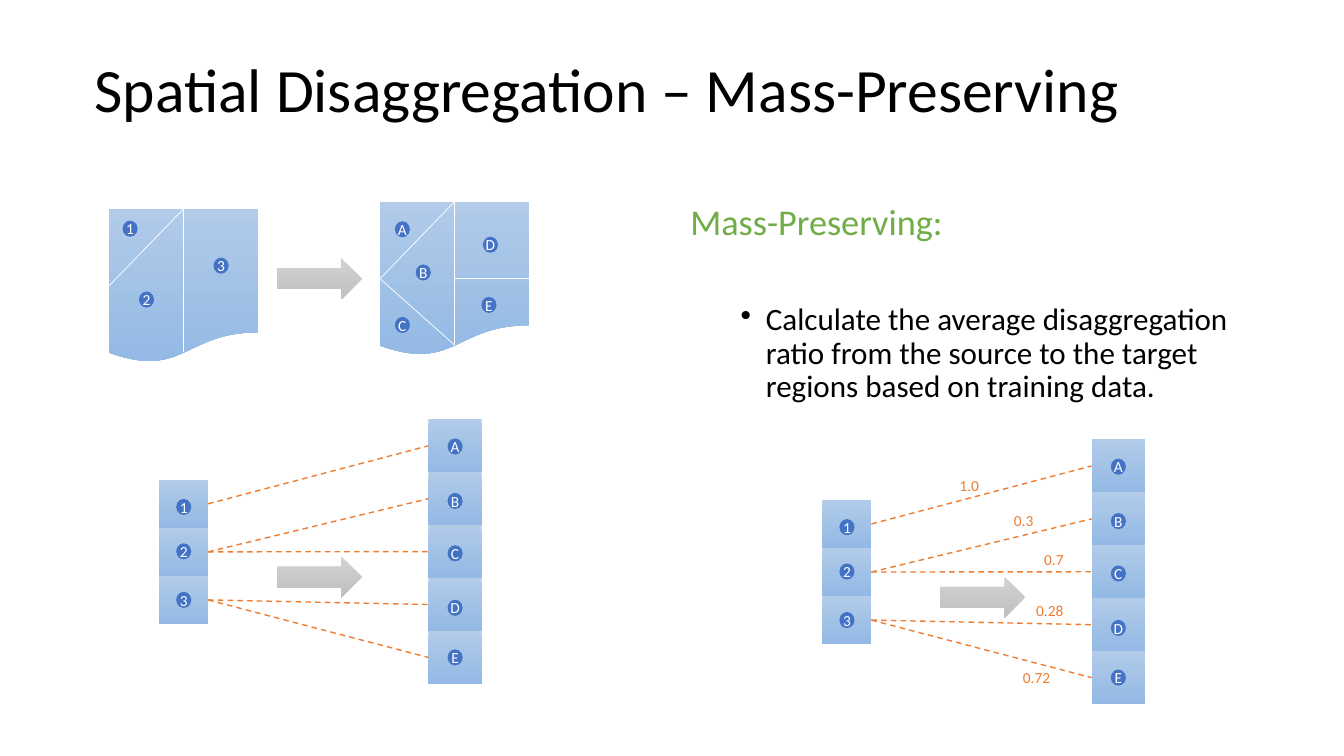
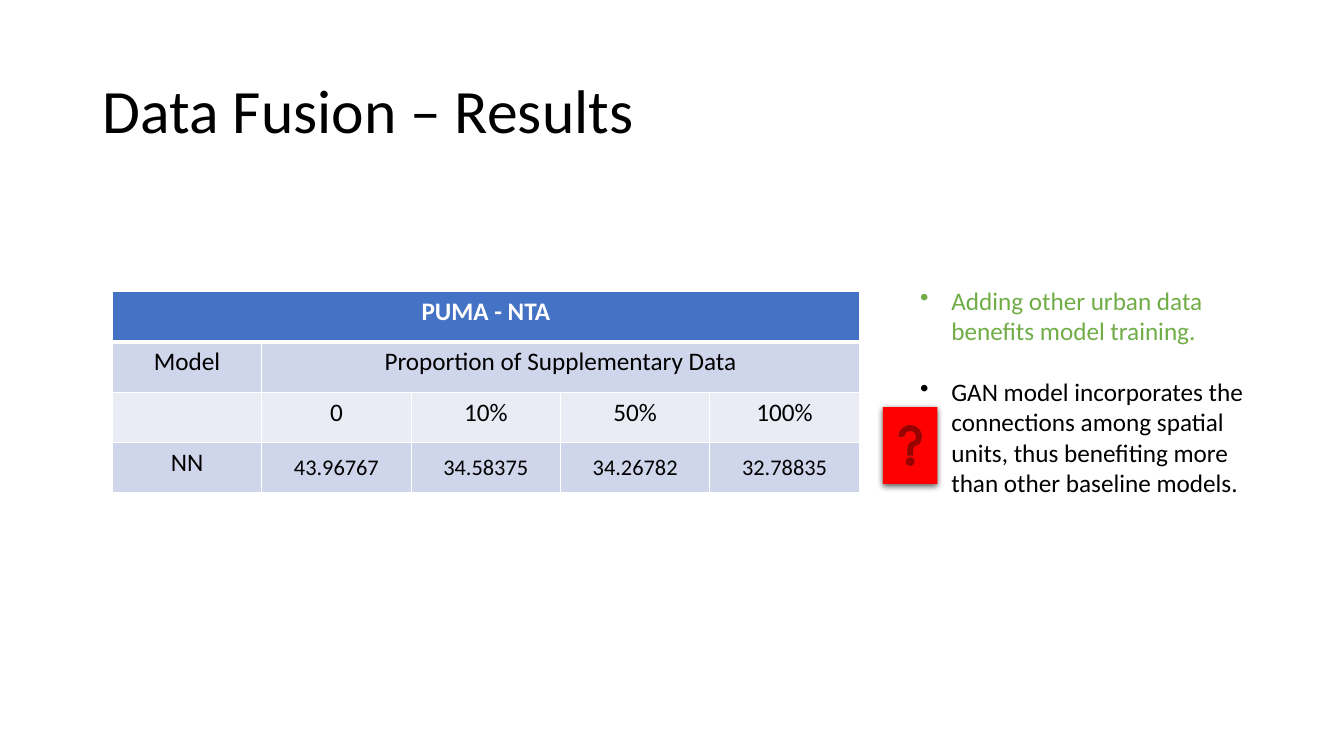
"""Build two slides on spatial disaggregation and data fusion."""
from dataclasses import dataclass
from typing import NamedTuple

from lxml import etree
from pptx import Presentation
from pptx import util as u
from pptx.dml.color import RGBColor
from pptx.enum import dml, shapes, text
from pptx.oxml.ns import qn

SLIDE_WIDTH, SLIDE_HEIGHT = u.Inches(13.333), u.Inches(7.5)
COLUMN, ROW = SLIDE_WIDTH / 160, SLIDE_HEIGHT / 90
FONT = "Calibri"
COLORS = {
    "ink": "000000", "paper": "FFFFFF", "accent": "70AD47", "badge": "4472C4",
    "link": "ED7D31", "alert": "FF0000", "band": "CFD5EA", "pale": "E9EBF5",
    "region_top": "B1CBE9", "region_end": "93B9E4",
    "arrow_top": "D2D2D2", "arrow_end": "C0C0C0",
}


class Area(NamedTuple):
    """A box in grid columns and rows."""
    left: float
    top: float
    width: float
    height: float

    def emu(self) -> list[int]:
        """Return the box in slide units."""
        return [round(n * unit) for n, unit in zip(self, (COLUMN, ROW) * 2)]

    def point(self, across: float, down: float) -> tuple[float, float]:
        """Return the grid point at the given shares of the box."""
        return self.left + across * self.width, self.top + down * self.height


class Span(NamedTuple):
    """One paragraph with its style."""
    words: str
    size: float
    color: str = "ink"
    before: float = 0
    spacing: float = 1.0
    margin: float = 0
    hanging: float = 0
    align: text.PP_ALIGN = text.PP_ALIGN.LEFT
    bold: bool = False


class Badge(NamedTuple):
    """A region name at shares of its map."""
    name: str
    across: float
    down: float


class Label(NamedTuple):
    """A ratio placed from the corner of its graph."""
    words: str
    left: float
    top: float
    width: float


@dataclass(frozen=True)
class RegionMap:
    """A map with its dividing lines and badges, in shares of its area."""
    area: Area
    lines: tuple[tuple[float, float, float, float], ...]
    badges: tuple[Badge, ...]


@dataclass(frozen=True)
class Stack:
    """A column of region cells, placed from the corner of its graph."""
    names: str
    first: Area
    nudges: tuple[float, ...]

    def cell(self, index: int, left: float, top: float) -> Area:
        """Return the area of one cell."""
        return self.first._replace(left=left + self.first.left,
                                   top=top + self.first.top + index * self.first.height)


MAPS = (
    RegionMap(Area(13, 24.84, 17.76, 18.36),
              ((0, .5, .5, 0), (.5, .93, .5, 0)),
              (Badge("1", .14, .13), Badge("2", .25, .59), Badge("3", .75, .37))),
    RegionMap(Area(45.24, 24, 17.76, 18.36),
              ((0, .5, .5, 0), (.5, .93, .5, 0), (.5, .5, 1, .5), (0, .5, .5, .93)),
              (Badge("A", .15, .18), Badge("B", .29, .46), Badge("C", .15, .8),
               Badge("D", .74, .28), Badge("E", .73, .67))),
)
SOURCES = Stack("123", Area(0, 7.2, 5.82, 5.72), (.38, -.06, 0))
TARGETS = Stack("ABCDE", Area(32.04, 0, 6.36, 6.3), (.09, .27, .21, .39, 0))
LINKS = ("1A", "2B", "2C", "3D", "3E")
RATIOS = (
    Label("1.0", 15.12, 3.72, 4.92), Label("0.3", 21.6, 7.92, 4.92),
    Label("0.7", 25.2, 12.6, 4.92), Label("0.28", 24.24, 18.6, 5.88),
    Label("0.72", 22.68, 26.64, 6.36),
)
RESULTS = (
    ("PUMA - NTA", "", "", "", ""),
    ("Model", "Proportion of Supplementary Data", "", "", ""),
    ("", "0", "10%", "50%", "100%"),
    ("NN", "43.96767", "34.58375", "34.26782", "32.78835"),
)
ROW_FILLS = ("badge", "band", "pale", "band")


def rgb(name: str) -> RGBColor:
    """Return a named color."""
    return RGBColor.from_string(COLORS[name])


def write(frame, spans: tuple[Span, ...]) -> None:
    """Fill a text frame with styled paragraphs."""
    frame.text = "\n".join(span.words for span in spans)
    for para, span in zip(frame.paragraphs, spans):
        if span.hanging:
            props = para._p.get_or_add_pPr()
            props.set("marL", str(u.Inches(span.margin)))
            props.set("indent", str(-u.Inches(span.hanging)))
            etree.SubElement(props, qn("a:buChar")).set("char", "•")
        para.alignment = span.align
        para.line_spacing = span.spacing
        para.space_before = u.Pt(span.before)
        for run in para.runs:
            run.font.name, run.font.size = FONT, u.Pt(span.size)
            run.font.bold = span.bold
            run.font.color.rgb = rgb(span.color)


def add_text(page, area: Area, *spans: Span, wrap: bool = True,
             anchor=text.MSO_ANCHOR.TOP) -> None:
    """Add a text box."""
    frame = page.shapes.add_textbox(*area.emu()).text_frame
    frame.word_wrap, frame.vertical_anchor = wrap, anchor
    write(frame, spans)


def add_title(page, left: float, top: float, words: str) -> None:
    """Add the slide title."""
    add_text(page, Area(left, top, 138, 17.4), Span(words, 44, spacing=.9),
             anchor=text.MSO_ANCHOR.MIDDLE)


def add_block(page, kind, area: Area, color: str):
    """Add an unlined shape with a solid fill."""
    box = page.shapes.add_shape(kind, *area.emu())
    box.shadow.inherit = False
    box.line.fill.background()
    box.fill.solid()
    box.fill.fore_color.rgb = rgb(color)
    return box


def add_shaded(page, kind, area: Area, family: str) -> None:
    """Add a shape shaded from top to bottom."""
    fill = add_block(page, kind, area, f"{family}_top").fill
    fill.gradient()
    fill.gradient_angle = 270
    for stop, place, end in zip(fill.gradient_stops, (0, 1), ("top", "end")):
        stop.position = place
        stop.color.rgb = rgb(f"{family}_{end}")


def add_arrow(page, left: float, top: float) -> None:
    """Add a grey block arrow."""
    add_shaded(page, shapes.MSO_SHAPE.RIGHT_ARROW, Area(left, top, 10.08, 4.92), "arrow")


def add_badge(page, name: str, center: tuple[float, float]) -> None:
    """Add a round badge around a center point."""
    width, height = 1.8, 1.92
    area = Area(center[0] - width / 2, center[1] - height / 2, width, height)
    frame = add_block(page, shapes.MSO_SHAPE.OVAL, area, "badge").text_frame
    frame.margin_left = frame.margin_right = frame.margin_top = frame.margin_bottom = 0
    frame.word_wrap, frame.vertical_anchor = False, text.MSO_ANCHOR.MIDDLE
    write(frame, (Span(name, 11, "paper", align=text.PP_ALIGN.CENTER),))


def add_line(page, start: tuple[float, float], end: tuple[float, float],
             color: str, width: float, dashed: bool = False) -> None:
    """Add a straight line between two grid points."""
    line = page.shapes.add_connector(shapes.MSO_CONNECTOR.STRAIGHT,
                                     *Area(*start, *end).emu())
    line.line.color.rgb, line.line.width = rgb(color), u.Pt(width)
    if dashed:
        line.line.dash_style = dml.MSO_LINE.DASH
    etree.SubElement(line._element.spPr, qn("a:effectLst"))


def add_map(page, region: RegionMap) -> None:
    """Add a map divided into named regions."""
    add_shaded(page, shapes.MSO_SHAPE.FLOWCHART_DOCUMENT, region.area, "region")
    for x1, y1, x2, y2 in region.lines:
        add_line(page, region.area.point(x1, y1), region.area.point(x2, y2), "paper", .5)
    for badge in region.badges:
        add_badge(page, badge.name, region.area.point(badge.across, badge.down))


def add_graph(page, left: float, top: float, labels: tuple[Label, ...] = ()) -> None:
    """Add source and target stacks joined by dashed links."""
    cells = {}
    for stack in (SOURCES, TARGETS):
        for index, name in enumerate(stack.names):
            cells[name] = stack.cell(index, left, top)
            add_shaded(page, shapes.MSO_SHAPE.RECTANGLE, cells[name], "region")
    add_arrow(page, left + 14.04, top + 16.32)
    for stack in (SOURCES, TARGETS):
        for name, nudge in zip(stack.names, stack.nudges):
            across, down = cells[name].point(.5, .5)
            add_badge(page, name, (across, down + nudge))
    for source, target in LINKS:
        add_line(page, cells[source].point(1, .5), cells[target].point(0, .5),
                 "link", 1, dashed=True)
    for label in labels:
        add_text(page, Area(left + label.left, top + label.top, label.width, 3.48),
                 Span(label.words, 11, "link"), wrap=False)


def set_borders(cell, top: float, bottom: float) -> None:
    """Draw white borders on a cell, with sides of one point."""
    props = cell._tc.get_or_add_tcPr()
    for side, width in zip("LRTB", (1, 1, top, bottom)):
        edge = etree.SubElement(props, qn(f"a:ln{side}"), w=str(u.Pt(width)))
        fill = etree.SubElement(edge, qn("a:solidFill"))
        etree.SubElement(fill, qn("a:srgbClr"), val=COLORS["paper"])


def add_results(page, area: Area) -> None:
    """Add the table of results."""
    table = page.shapes.add_table(len(RESULTS), len(RESULTS[0]), *area.emu()).table
    for r, (words, color) in enumerate(zip(RESULTS, ROW_FILLS)):
        for c, word in enumerate(words):
            cell = table.cell(r, c)
            set_borders(cell, 3 if r == 1 else 1, 3 if r == 0 else 1)
            cell.fill.solid()
            cell.fill.fore_color.rgb = rgb(color)
            score = r == len(RESULTS) - 1 and c > 0
            if score:
                cell.vertical_anchor = text.MSO_ANCHOR.MIDDLE
                cell.margin_left = cell.margin_right = cell.margin_top = u.Inches(.01)
                cell.margin_bottom = 0
            write(cell.text_frame, (Span(word, 16 if score else 18,
                                         "ink" if r else "paper", bold=r == 0,
                                         align=text.PP_ALIGN.CENTER),))
    table.cell(0, 0).merge(table.cell(0, 4))
    table.cell(1, 1).merge(table.cell(1, 4))


def add_help(page, area: Area) -> None:
    """Add a red help button with a soft shadow below."""
    box = add_block(page, shapes.MSO_SHAPE.ACTION_BUTTON_HELP, area, "alert")
    effects = box._element.spPr.find(qn("a:effectLst"))
    shadow = etree.SubElement(effects, qn("a:outerShdw"), blurRad=str(u.Pt(4.5)),
                              dist=str(u.Pt(1.5)), dir="5400000", rotWithShape="0")
    tint = etree.SubElement(shadow, qn("a:srgbClr"), val=COLORS["ink"])
    etree.SubElement(tint, qn("a:alpha"), val="63000")


def build_disaggregation(page) -> None:
    """Draw the slide on mass-preserving disaggregation."""
    add_title(page, 10.08, 2.28, "Spatial Disaggregation – Mass-Preserving")
    add_text(page, Area(81, 23.76, 68.28, 26.64),
             Span("Mass-Preserving:", 25.9, "accent", spacing=.9),
             Span("Calculate the average disaggregation ratio from the source to the "
                  "target regions based on training data.", 22.2, before=43,
                  spacing=.9, margin=.75, hanging=.25))
    add_arrow(page, 33, 30.72)
    for region in MAPS:
        add_map(page, region)
    add_graph(page, 18.96, 49.92)
    add_graph(page, 97.92, 52.32, RATIOS)


def build_results(page) -> None:
    """Draw the slide with the data fusion results."""
    add_title(page, 11.04, 4.8, "Data Fusion – Results")
    add_results(page, Area(13.38, 34.68, 88.92, 24))
    add_text(page, Area(108.36, 33.36, 45.12, 30.24),
             Span("Adding other urban data benefits model training.", 18, "accent",
                  margin=.31, hanging=.31),
             Span("GAN model incorporates the connections among spatial units, thus "
                  "benefiting more than other baseline models.", 18, before=22,
                  margin=.31, hanging=.31))
    add_help(page, Area(105.12, 48.48, 6.48, 9.12))


def main() -> None:
    """Build and save the deck."""
    deck = Presentation()
    deck.slide_width, deck.slide_height = SLIDE_WIDTH, SLIDE_HEIGHT
    for build in (build_disaggregation, build_results):
        build(deck.slides.add_slide(deck.slide_layouts[6]))
    deck.save("out.pptx")


if __name__ == "__main__":
    main()
